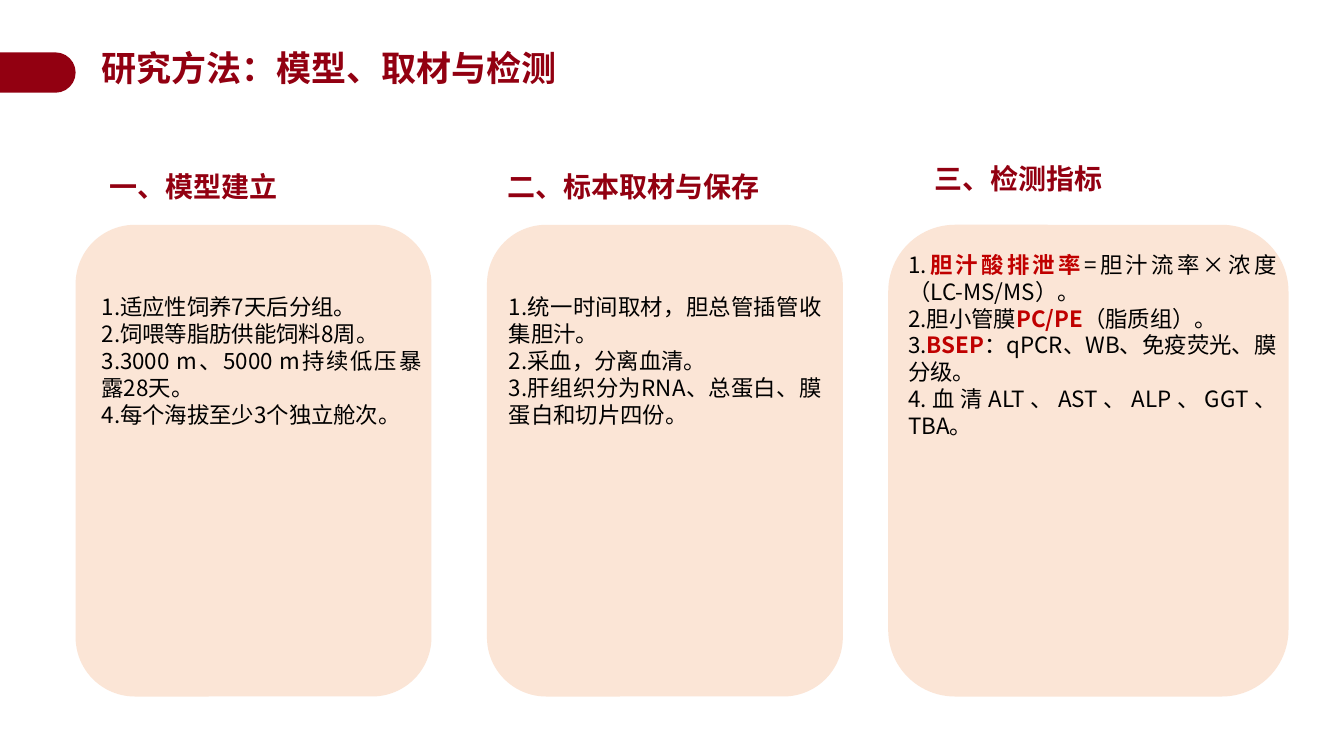
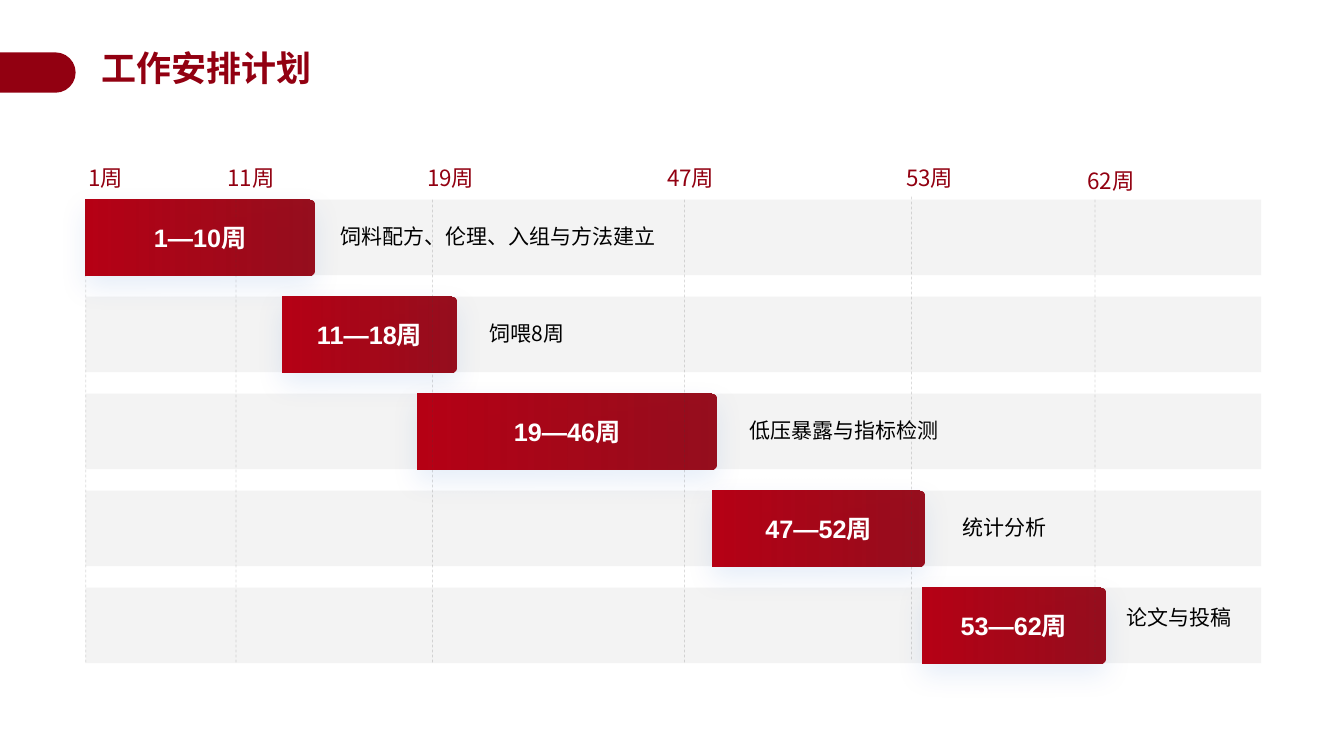
from lxml import etree
from pptx import Presentation
from pptx.dml.color import RGBColor
from pptx.enum import dml, shapes, text
from pptx.oxml import ns
from pptx.util import Inches, Pt

CRIMSON = RGBColor(0x92, 0x00, 0x11)
BRIGHT = RGBColor(0xB6, 0x00, 0x15)
KEYWORD = RGBColor(0xC0, 0x00, 0x00)
PEACH = RGBColor(0xFB, 0xE5, 0xD6)
TRACK = RGBColor(0xF2, 0xF2, 0xF2)
GUIDE = RGBColor(0x40, 0x40, 0x40)
GLOW = RGBColor(0x00, 0x52, 0xBF)
BLACK = RGBColor(0, 0, 0)
WHITE = RGBColor(0xFF, 0xFF, 0xFF)
CJK = "Noto Sans CJK SC"
LATIN = "Arial"
PRESET = shapes.MSO_SHAPE
ALIGN = text.PP_ALIGN

COLUMNS = [
    {"heading": "一、模型建立", "card": (0.75, 3.53), "heading_box": (0.82, 1.63, 2.2),
     "body_box": (0.91, 2.86, 3.37, 3.07),
     "steps": ["1.适应性饲养7天后分组。", "2.饲喂等脂肪供能饲料8周。",
               "3.3000 m、5000 m持续低压暴露28天。", "4.每个海拔至少3个独立舱次。"]},
    {"heading": "二、标本取材与保存", "card": (4.83, 3.53), "heading_box": (4.91, 1.63, 2.75),
     "body_box": (4.95, 2.86, 3.3, 2.98),
     "steps": ["1.统一时间取材，胆总管插管收集胆汁。", "2.采血，分离血清。",
               "3.肝组织分为RNA、总蛋白、膜蛋白和切片四份。"]},
    {"heading": "三、检测指标", "card": (8.81, 3.97), "heading_box": (8.93, 1.55, 2.34),
     "body_box": (8.91, 2.44, 3.85, 3.83),
     "steps": [("1.", "胆汁酸排泄率", "=胆汁流率×浓度（LC-MS/MS）。"),
               ("2.胆小管膜", "PC/PE", "（脂质组）。"),
               ("3.", "BSEP", "：qPCR、WB、免疫荧光、膜分级。"),
               "4.血清ALT、AST、ALP、GGT、TBA。"]},
]
TASKS = [
    ("1—10周", 0, 2.27, "饲料配方、伦理、入组与方法建立", 2.43, 0.19),
    ("11—18周", 1.95, 1.73, "饲喂8周", 3.91, 0.19),
    ("19—46周", 3.29, 2.97, "低压暴露与指标检测", 6.49, 0.19),
    ("47—52周", 6.22, 2.1, "统计分析", 8.6, 0.19),
    ("53—62周", 8.3, 1.81, "论文与投稿", 10.22, 0.12),
]
WEEKS = [
    ("1周", 0, 0.2, 0, 0), ("11周", 1.49, 1.64, 0, 0), ("19周", 3.44, 3.62, 0, 0),
    ("47周", 5.94, 6, 0, 0), ("53周", 8.19, 8.37, 0, -0.03), ("62周", 10.01, 10.17, 0.03, 0),
]
ROW_HEIGHT = 0.75
ROW_PITCH = 3.85 / 4


def add_text(slide, box, paragraphs, size=16, color=BLACK, bold=False,
             align=ALIGN.LEFT, latin=CJK, spacing=None):
    """Add a text box; in a tuple paragraph every second run is a keyword."""
    frame = slide.shapes.add_textbox(*map(Inches, box)).text_frame
    frame.word_wrap = True
    for index, content in enumerate(paragraphs):
        paragraph = frame.paragraphs[0] if index == 0 else frame.add_paragraph()
        paragraph.alignment = align
        if spacing:
            paragraph.line_spacing = spacing
        for order, words in enumerate((content,) if isinstance(content, str) else content):
            is_keyword = order % 2 == 1
            run = paragraph.add_run()
            run.text = words
            run.font.size = Pt(size)
            run.font.bold = bold or is_keyword
            run.font.color.rgb = KEYWORD if is_keyword else color
            run.font.name = latin
            etree.SubElement(run.font._element, ns.qn("a:ea"), typeface=CJK)


def set_alpha(color_parent, percent):
    """Make the last colour below an element partly transparent."""
    color = list(color_parent.iter(ns.qn("a:srgbClr")))[-1]
    etree.SubElement(color, ns.qn("a:alpha"), val=str(percent * 1000))


def add_block(slide, preset, box, fill=None):
    """Add a borderless preset shape without shadow."""
    block = slide.shapes.add_shape(preset, *map(Inches, box))
    block.shadow.inherit = False
    block.line.fill.background()
    if fill is not None:
        block.fill.solid()
        block.fill.fore_color.rgb = fill
    return block


def add_tab(slide, left, top, width, height, radius, fill=None):
    """Add a bar whose right corners are rounded."""
    box = (left + (width - height) / 2, top + (height - width) / 2, height, width)
    tab = add_block(slide, PRESET.ROUND_2_SAME_RECTANGLE, box, fill)
    tab.rotation = 90
    tab.adjustments[0] = radius
    tab.adjustments[1] = 0
    return tab


def add_titled_slide(deck, title):
    """Add a blank slide with the shared band and title."""
    slide = deck.slides.add_slide(deck.slide_layouts[6])
    add_tab(slide, 0, 0.52, 0.75, 0.4, 0.5, CRIMSON)
    add_text(slide, (0.91, 0.46, 11.6, 0.53), [title], size=25, color=CRIMSON,
             bold=True, spacing=0.9)
    return slide


def add_column(slide, column):
    """Add one method card with its heading and steps."""
    left, width = column["card"]
    add_block(slide, PRESET.FLOWCHART_ALTERNATE_PROCESS, (left, 2.23, width, 4.68), PEACH)
    add_text(slide, (*column["heading_box"], 0.37), [column["heading"]], size=20,
             color=CRIMSON, bold=True, align=ALIGN.CENTER)
    add_text(slide, column["body_box"], column["steps"], align=ALIGN.JUSTIFY)


def add_task_bar(slide, left, top, width):
    """Add a gradient bar with a soft blue glow below it."""
    bar = add_tab(slide, left, top, width, ROW_HEIGHT, 0.07)
    bar.fill.gradient()
    bar.fill.gradient_angle = 90
    for stop, color in zip(bar.fill.gradient_stops, (BRIGHT, CRIMSON)):
        stop.color.rgb = color
    properties = bar._element.spPr
    set_alpha(properties.find(ns.qn("a:gradFill")), 94)
    effects = properties.find(ns.qn("a:effectLst"))
    glow = etree.SubElement(effects, ns.qn("a:outerShdw"), blurRad=str(Pt(20)),
                            dist=str(Pt(8)), dir="5400000", rotWithShape="0")
    etree.SubElement(glow, ns.qn("a:srgbClr"), val=str(GLOW))
    set_alpha(glow, 10)


def add_guide(slide, x, top, bottom):
    """Add a faint dashed vertical line."""
    guide = slide.shapes.add_connector(
        shapes.MSO_CONNECTOR.STRAIGHT, *map(Inches, (x, top, x, bottom)))
    guide.line.color.rgb = GUIDE
    guide.line.width = Pt(0.5)
    guide.line.dash_style = dml.MSO_LINE.DASH
    properties = guide._element.spPr
    set_alpha(properties, 18)
    etree.SubElement(properties, ns.qn("a:effectLst"))


def add_schedule(slide, left, top, width):
    """Add the week scale, tracks, bars and task labels."""
    rows = [top + index * ROW_PITCH for index in range(len(TASKS))]
    bottom = rows[-1] + ROW_HEIGHT
    for row in rows:
        track = add_block(slide, PRESET.RECTANGLE, (left, row, width, ROW_HEIGHT), TRACK)
        set_alpha(track._element.spPr, 91)
    for row, (_, start, length, *_) in zip(rows, TASKS):
        add_task_bar(slide, left + start, row, length)
    for week, guide, center, drop, shift in WEEKS:
        add_guide(slide, left + guide, top + shift, bottom + shift)
        add_text(slide, (left + center - 0.6, top - 0.4 + drop, 1.2, 0.37), [week],
                 color=CRIMSON, align=ALIGN.CENTER)
    for row, (period, start, length, task, label, drop) in zip(rows, TASKS):
        add_text(slide, (left + start, row + 0.18, length, 0.4), [period], size=18,
                 color=WHITE, bold=True, align=ALIGN.CENTER, latin=LATIN)
        add_text(slide, (left + label, row + drop, min(3.5, 12.8 - left - label), 0.35),
                 [task], size=15)


def main():
    """Build and save both slides."""
    deck = Presentation()
    deck.slide_width, deck.slide_height = Inches(13.33), Inches(7.5)
    methods = add_titled_slide(deck, "研究方法：模型、取材与检测")
    for column in COLUMNS:
        add_column(methods, column)
    plan = add_titled_slide(deck, "工作安排计划")
    add_schedule(plan, 0.85, 1.98, 11.66)
    deck.save("out.pptx")


if __name__ == "__main__":
    main()
